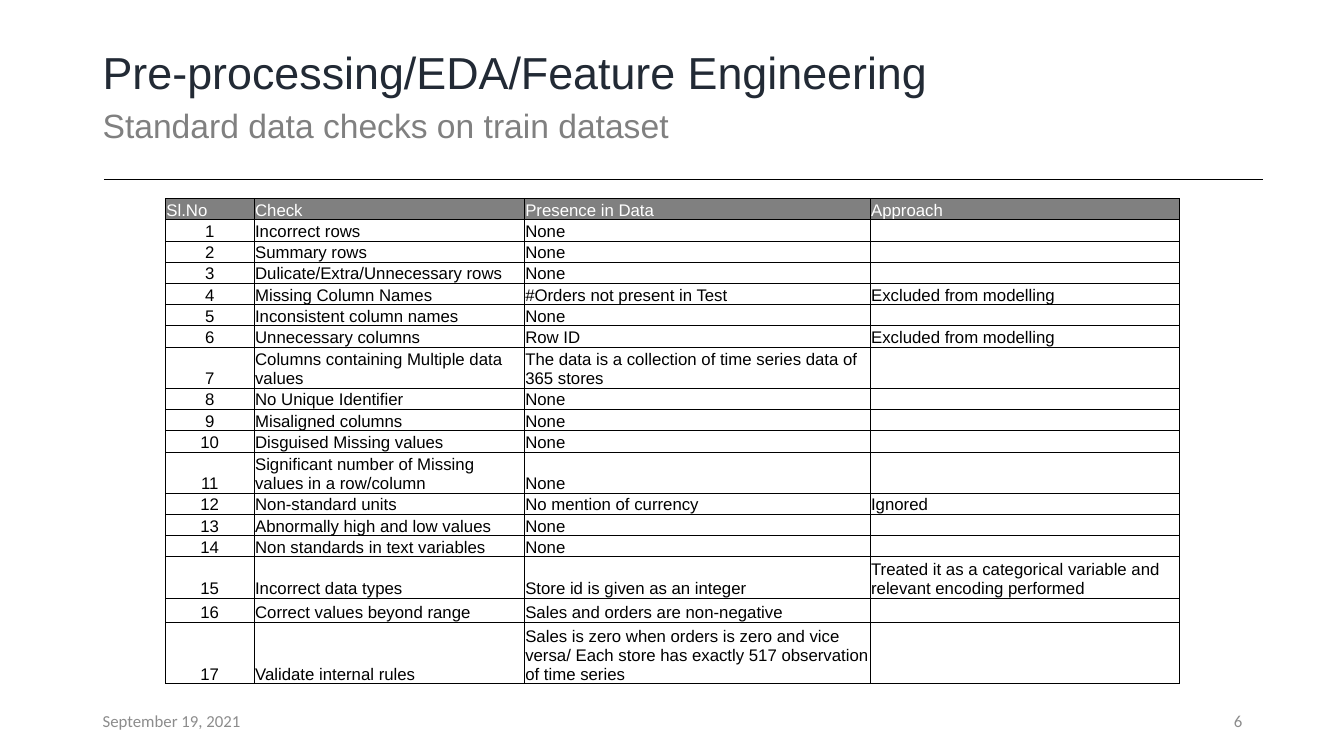
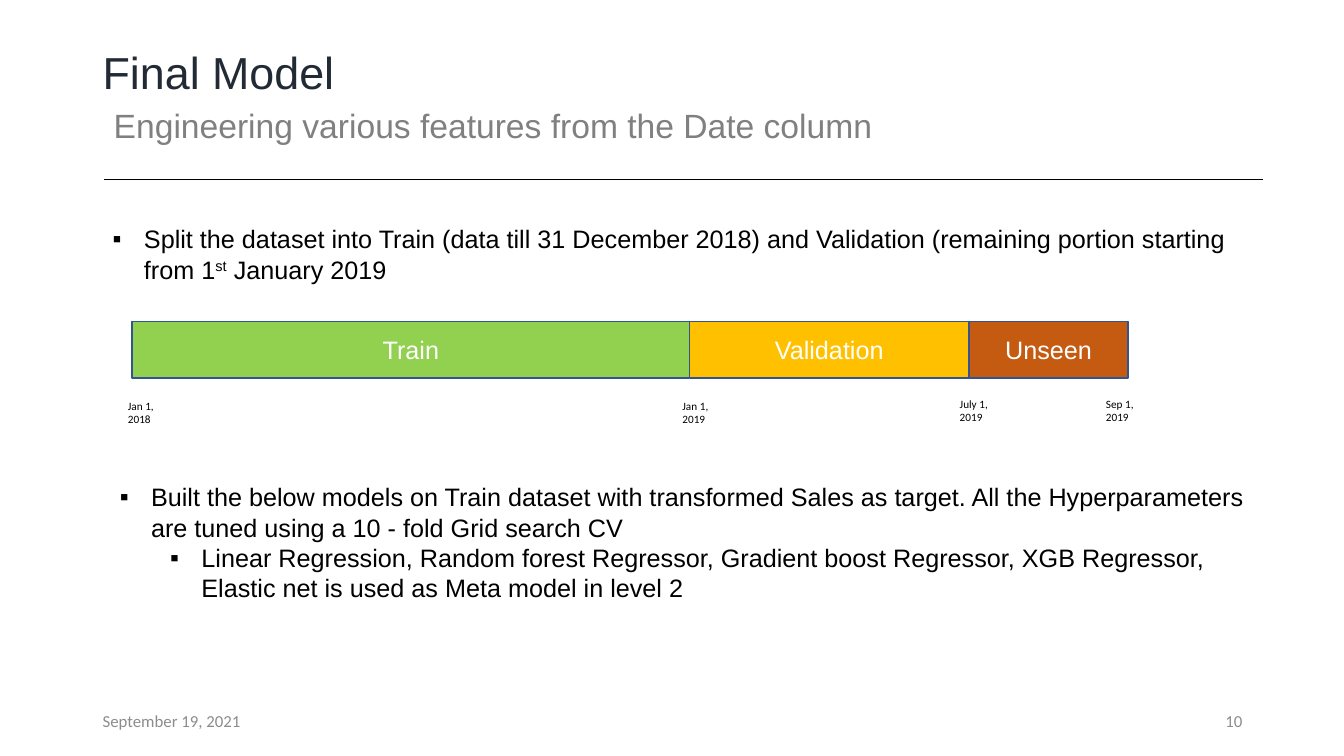
from lxml import etree
from pptx import Presentation
from pptx.dml.color import RGBColor
from pptx.enum.shapes import MSO_CONNECTOR, MSO_SHAPE
from pptx.enum.text import MSO_ANCHOR, PP_ALIGN
from pptx.oxml.ns import qn
from pptx.util import Inches, Pt

STRAIGHT = MSO_CONNECTOR.STRAIGHT
RECTANGLE = MSO_SHAPE.RECTANGLE
TOP, MIDDLE, BOTTOM = MSO_ANCHOR.TOP, MSO_ANCHOR.MIDDLE, MSO_ANCHOR.BOTTOM
LEFT, CENTER, RIGHT = PP_ALIGN.LEFT, PP_ALIGN.CENTER, PP_ALIGN.RIGHT

HEADING, BODY, SMALL = "Arial", "Arial", "Calibri"
NAVY, GRAY, FOOTER_GRAY = "222A35", "808080", "8C8C8C"
BLACK, WHITE, OUTLINE = "000000", "FFFFFF", "325491"
CONTENT_LEFT, CONTENT_WIDTH = 0.92, 11.5
RULE_LEFT = 1.03
DATE = "September 19, 2021"

COLUMN_WIDTHS = [0.88, 2.68, 3.43, 3.07]
ROW_HEIGHT = 0.21
TALL_ROWS = {7: 0.4, 11: 0.4, 15: 0.4, 16: 0.24, 17: 0.6}
HEADERS = ["Sl.No", "Check", "Presence in Data", "Approach"]
CHECKS = [
    ("Incorrect rows", "None", ""),
    ("Summary rows", "None", ""),
    ("Dulicate/Extra/Unnecessary rows", "None", ""),
    ("Missing Column Names", "#Orders not present in Test", "Excluded from modelling"),
    ("Inconsistent column names", "None", ""),
    ("Unnecessary columns", "Row ID", "Excluded from modelling"),
    ("Columns containing Multiple data values",
     "The data is a collection of time series data of 365 stores", ""),
    ("No Unique Identifier", "None", ""),
    ("Misaligned columns", "None", ""),
    ("Disguised Missing values", "None", ""),
    ("Significant number of Missing values in a row/column", "None", ""),
    ("Non-standard units", "No mention of currency", "Ignored"),
    ("Abnormally high and low values", "None", ""),
    ("Non standards in text variables", "None", ""),
    ("Incorrect data types", "Store id is given as an integer",
     "Treated it as a categorical variable and relevant encoding performed"),
    ("Correct values beyond range", "Sales and orders are non-negative", ""),
    ("Validate internal rules",
     "Sales is zero when orders is zero and vice versa/ "
     "Each store has exactly 517 observation of time series", ""),
]

PERIODS = [
    ("Train", 5.53, "92D050"),
    ("Validation", 2.77, "FFC000"),
    ("Unseen", 1.58, "C55A11"),
]
TIMELINE_LEFT, TIMELINE_TOP, TIMELINE_HEIGHT = 1.31, 3.19, 0.56
DATE_MARKS = [
    ("Jan 1, 2018", 1.17, 3.91),
    ("Jan 1, 2019", 6.67, 3.91),
    ("July 1, 2019", 9.42, 3.89),
    ("Sep 1, 2019", 10.87, 3.89),
]


def color(value):
    return RGBColor.from_string(value)


def add_run(paragraph, text, size, font, text_color, superscript=False):
    run = paragraph.add_run()
    run.text = text
    run.font.size = Pt(size)
    run.font.name = font
    run.font.color.rgb = color(text_color)
    if superscript:
        run.font._element.set("baseline", "30000")


def add_text_frame(slide, left, top, width, height, anchor=TOP):
    frame = slide.shapes.add_textbox(
        Inches(left), Inches(top), Inches(width), Inches(height)).text_frame
    frame.word_wrap = True
    frame.vertical_anchor = anchor
    return frame


def add_label(slide, box, text, size, font, text_color,
              anchor=TOP, align=LEFT, line_spacing=None):
    paragraph = add_text_frame(slide, *box, anchor).paragraphs[0]
    paragraph.alignment = align
    paragraph.line_spacing = line_spacing
    add_run(paragraph, text, size, font, text_color)


def add_rule(slide):
    rule = slide.shapes.add_connector(
        STRAIGHT, Inches(RULE_LEFT), Inches(1.78),
        Inches(RULE_LEFT + CONTENT_WIDTH), Inches(1.78))
    rule.line.color.rgb = color(BLACK)
    rule.line.width = Pt(0.5)
    etree.SubElement(rule._element.spPr, qn("a:effectLst"))


def add_base_slide(presentation, title, subtitle, number, subtitle_left=CONTENT_LEFT):
    slide = presentation.slides.add_slide(presentation.slide_layouts[6])
    add_label(slide, (CONTENT_LEFT, 0.36, CONTENT_WIDTH, 0.76), title,
              32, HEADING, NAVY, MIDDLE, line_spacing=0.9)
    add_label(slide, (subtitle_left, 1.04, CONTENT_WIDTH, 0.76), subtitle,
              24, HEADING, GRAY, line_spacing=0.9)
    add_rule(slide)
    add_label(slide, (CONTENT_LEFT, 6.95, 3, 0.4), DATE,
              12, SMALL, FOOTER_GRAY, MIDDLE)
    add_label(slide, (9.42, 6.95, 3, 0.4), str(number),
              12, SMALL, FOOTER_GRAY, MIDDLE, RIGHT)
    return slide


def add_cell_borders(cell):
    properties = cell._tc.get_or_add_tcPr()
    for index, side in enumerate(("a:lnL", "a:lnR", "a:lnT", "a:lnB")):
        border = etree.Element(qn(side), w=str(Pt(0.5)))
        fill = etree.SubElement(border, qn("a:solidFill"))
        etree.SubElement(fill, qn("a:srgbClr"), val=BLACK)
        properties.insert(index, border)


def fill_cell(cell, text, is_header, align):
    cell.margin_left = cell.margin_right = cell.margin_top = Inches(0.01)
    cell.margin_bottom = 0
    cell.vertical_anchor = BOTTOM
    if is_header:
        cell.fill.solid()
        cell.fill.fore_color.rgb = color(GRAY)
    else:
        cell.fill.background()
    add_cell_borders(cell)
    paragraph = cell.text_frame.paragraphs[0]
    paragraph.alignment = align
    if text:
        add_run(paragraph, text, 12, BODY, WHITE if is_header else BLACK)
    else:
        etree.SubElement(paragraph._p, qn("a:endParaRPr"), sz="1200")


def add_checks_table(slide):
    rows = [HEADERS] + [(str(number), *check) for number, check in enumerate(CHECKS, 1)]
    heights = [TALL_ROWS.get(index, ROW_HEIGHT) for index in range(len(rows))]
    table = slide.shapes.add_table(
        len(rows), len(HEADERS), Inches(1.64), Inches(1.97),
        Inches(sum(COLUMN_WIDTHS)), Inches(sum(heights))).table
    table.first_row = table.horz_banding = False
    for column, width in zip(table.columns, COLUMN_WIDTHS):
        column.width = Inches(width)
    for row_index, (values, height) in enumerate(zip(rows, heights)):
        table.rows[row_index].height = Inches(height)
        for column_index, text in enumerate(values):
            is_header = row_index == 0
            align = CENTER if column_index == 0 and not is_header else LEFT
            fill_cell(table.cell(row_index, column_index), text, is_header, align)


def add_bullets(slide, left, top, bullets):
    frame = add_text_frame(slide, left, top, CONTENT_WIDTH, 1.31)
    for index, (level, runs) in enumerate(bullets):
        paragraph = frame.add_paragraph() if index else frame.paragraphs[0]
        paragraph.level = level
        properties = paragraph._p.get_or_add_pPr()
        properties.set("marL", str(Inches(0.31 + 0.5 * level)))
        properties.set("indent", str(Inches(-0.31)))
        etree.SubElement(properties, qn("a:buFont"), typeface=BODY)
        etree.SubElement(properties, qn("a:buChar"), char="▪")
        for text, superscript in runs:
            add_run(paragraph, text, 18, BODY, BLACK, superscript)


def add_timeline(slide):
    left = TIMELINE_LEFT
    for name, width, fill in PERIODS:
        shape = slide.shapes.add_shape(
            RECTANGLE, Inches(left), Inches(TIMELINE_TOP),
            Inches(width), Inches(TIMELINE_HEIGHT))
        shape.shadow.inherit = False
        shape.fill.solid()
        shape.fill.fore_color.rgb = color(fill)
        shape.line.color.rgb = color(OUTLINE)
        shape.line.width = Pt(1)
        shape.text_frame.vertical_anchor = MIDDLE
        paragraph = shape.text_frame.paragraphs[0]
        paragraph.alignment = CENTER
        add_run(paragraph, name, 18, BODY, WHITE)
        left += width
    for text, mark_left, mark_top in DATE_MARKS:
        add_label(slide, (mark_left, mark_top, 0.48, 0.37), text, 8, SMALL, BLACK)


def add_checks_slide(presentation):
    slide = add_base_slide(presentation, "Pre-processing/EDA/Feature Engineering",
                           "Standard data checks on train dataset", 6)
    add_checks_table(slide)


def add_model_slide(presentation):
    slide = add_base_slide(presentation, "Final Model",
                           "Engineering various features from the Date column",
                           10, RULE_LEFT)
    add_bullets(slide, 1.02, 2.17, [
        (0, [("Split the dataset into Train (data till 31 December 2018) and "
              "Validation (remaining portion starting from 1", False),
             ("st", True), (" January 2019", False)]),
    ])
    add_timeline(slide)
    add_bullets(slide, 1.09, 4.73, [
        (0, [("Built the below models on Train dataset with transformed Sales as target. "
              "All the Hyperparameters are tuned using a 10 - fold Grid search CV", False)]),
        (1, [("Linear Regression, Random forest Regressor, Gradient boost Regressor, "
              "XGB Regressor, Elastic net is used as Meta model in level 2", False)]),
    ])


def main():
    presentation = Presentation()
    presentation.slide_width = Inches(13.33)
    presentation.slide_height = Inches(7.5)
    add_checks_slide(presentation)
    add_model_slide(presentation)
    presentation.save("out.pptx")


if __name__ == "__main__":
    main()
